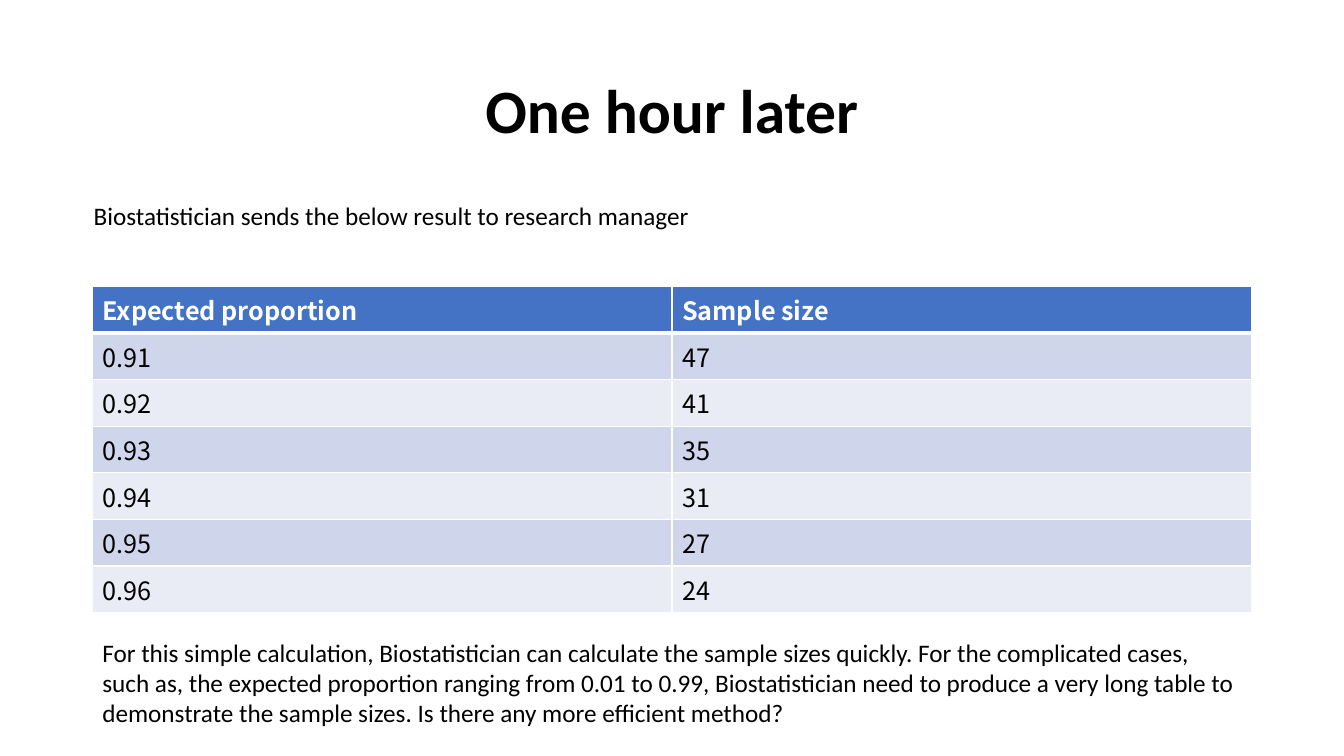
from dataclasses import dataclass

from lxml import etree
from pptx import Presentation
from pptx.dml.color import RGBColor
from pptx.enum.text import MSO_ANCHOR, PP_ALIGN
from pptx.oxml.ns import qn
from pptx.util import Cm, Pt

LEFT, CENTER = PP_ALIGN.LEFT, PP_ALIGN.CENTER
TOP, MIDDLE = MSO_ANCHOR.TOP, MSO_ANCHOR.MIDDLE
TITLE_ONLY = 5


@dataclass(frozen=True)
class Theme:
    text: str = "000000"
    light: str = "FFFFFF"
    header: str = "4472C4"
    bands: tuple = ("CFD5EA", "E9EBF5")
    font: str = "Calibri"
    table_font: str = "Noto Sans CJK SC"
    title_size: int = 44
    body_size: int = 18
    thin_line: int = 1
    thick_line: int = 3


THEME = Theme()

SAMPLE_SIZES = [
    ("Expected proportion", "Sample size"),
    ("0.91", "47"),
    ("0.92", "41"),
    ("0.93", "35"),
    ("0.94", "31"),
    ("0.95", "27"),
    ("0.96", "24"),
]
INTRODUCTION = "Biostatistician sends the below result to research manager"
QUESTION = (
    "For this simple calculation, Biostatistician can calculate the sample sizes quickly. "
    "For the complicated cases, such as, the expected proportion ranging from 0.01 to 0.99, "
    "Biostatistician need to produce a very long table to demonstrate the sample sizes. "
    "Is there any more efficient method?"
)


def write_text(text_frame, text, *, size=THEME.body_size, color=THEME.text,
               font=THEME.font, bold=False, align=LEFT, anchor=TOP, line_spacing=None):
    text_frame.word_wrap = True
    text_frame.vertical_anchor = anchor
    paragraph = text_frame.paragraphs[0]
    paragraph.alignment = align
    paragraph.line_spacing = line_spacing
    run = paragraph.add_run()
    run.text = text
    run.font.size = Pt(size)
    run.font.name = font
    run.font.bold = bold
    run.font.color.rgb = RGBColor.from_string(color)


def set_borders(cell, widths):
    """Draw the cell's edges; widths maps an edge tag to points."""
    properties = cell._tc.get_or_add_tcPr()
    for position, (edge, width) in enumerate(widths.items()):
        line = etree.Element(qn(f"a:{edge}"), w=str(Pt(width)))
        fill = etree.SubElement(line, qn("a:solidFill"))
        etree.SubElement(fill, qn("a:srgbClr"), val=THEME.light)
        properties.insert(position, line)


def add_title(slide, text, box):
    title = slide.shapes.title
    title.left, title.top, title.width, title.height = box
    write_text(title.text_frame, text, size=THEME.title_size, bold=True,
               align=CENTER, anchor=MIDDLE, line_spacing=0.9)


def add_note(slide, text, box):
    write_text(slide.shapes.add_textbox(*box).text_frame, text)


def add_sample_table(slide, rows, box):
    table = slide.shapes.add_table(len(rows), len(rows[0]), *box).table
    for row_index, values in enumerate(rows):
        is_header = row_index == 0
        fill = THEME.header if is_header else THEME.bands[(row_index - 1) % 2]
        borders = {
            "lnL": THEME.thin_line,
            "lnR": THEME.thin_line,
            "lnT": THEME.thick_line if row_index == 1 else THEME.thin_line,
            "lnB": THEME.thick_line if is_header else THEME.thin_line,
        }
        for column_index, value in enumerate(values):
            cell = table.cell(row_index, column_index)
            cell.fill.solid()
            cell.fill.fore_color.rgb = RGBColor.from_string(fill)
            set_borders(cell, borders)
            write_text(cell.text_frame, value, font=THEME.table_font, bold=is_header,
                       color=THEME.light if is_header else THEME.text)


def build_result_slide(presentation):
    slide = presentation.slides.add_slide(presentation.slide_layouts[TITLE_ONLY])
    left, width = Cm(2.33), Cm(29.21)

    # Title
    add_title(slide, "One hour later", (left, Cm(1.01), width, Cm(3.68)))
    # Results table
    add_sample_table(slide, SAMPLE_SIZES, (left, Cm(7.22), width, Cm(7.21)))
    # Notes above and below the table
    add_note(slide, INTRODUCTION, (Cm(2.11), Cm(4.93), Cm(17.07), Cm(1.03)))
    add_note(slide, QUESTION, (left, Cm(15.93), width, Cm(2.57)))


def main():
    presentation = Presentation()
    presentation.slide_width = Cm(33.87)
    presentation.slide_height = Cm(19.05)
    build_result_slide(presentation)
    presentation.save("out.pptx")


if __name__ == "__main__":
    main()
